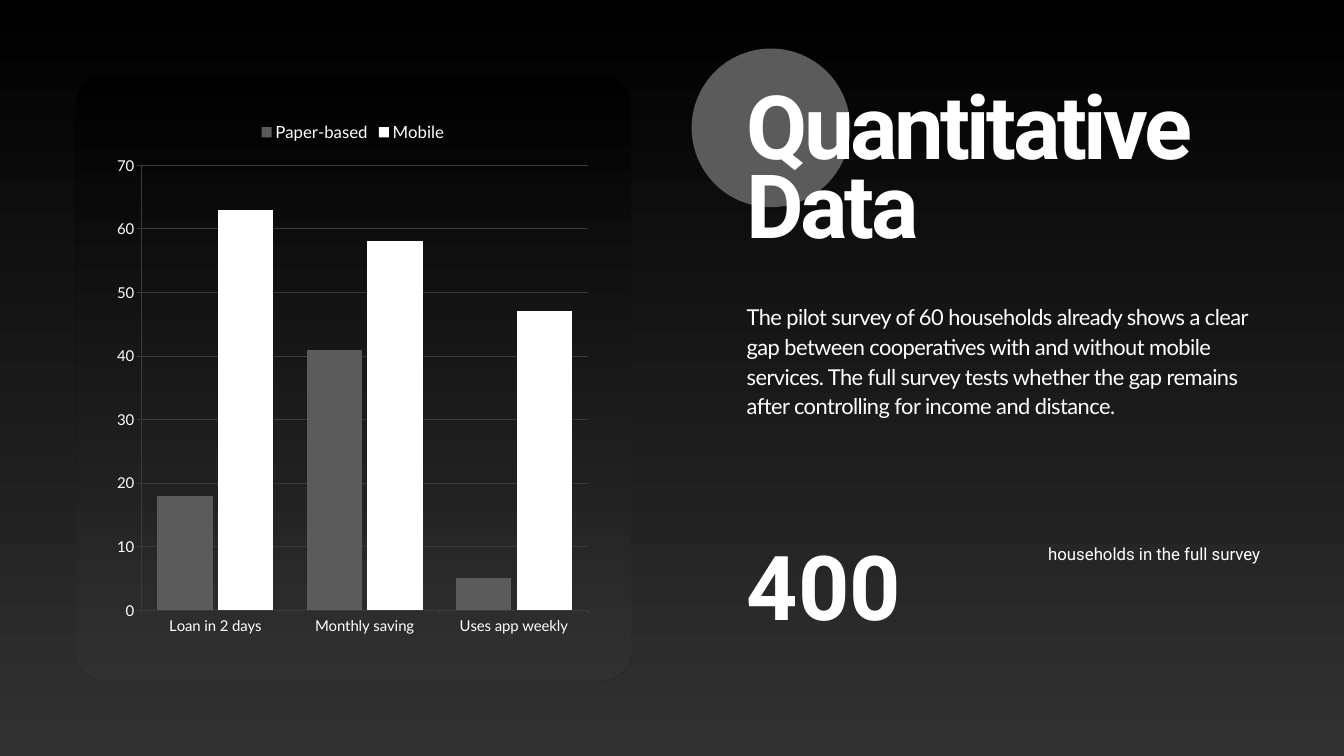
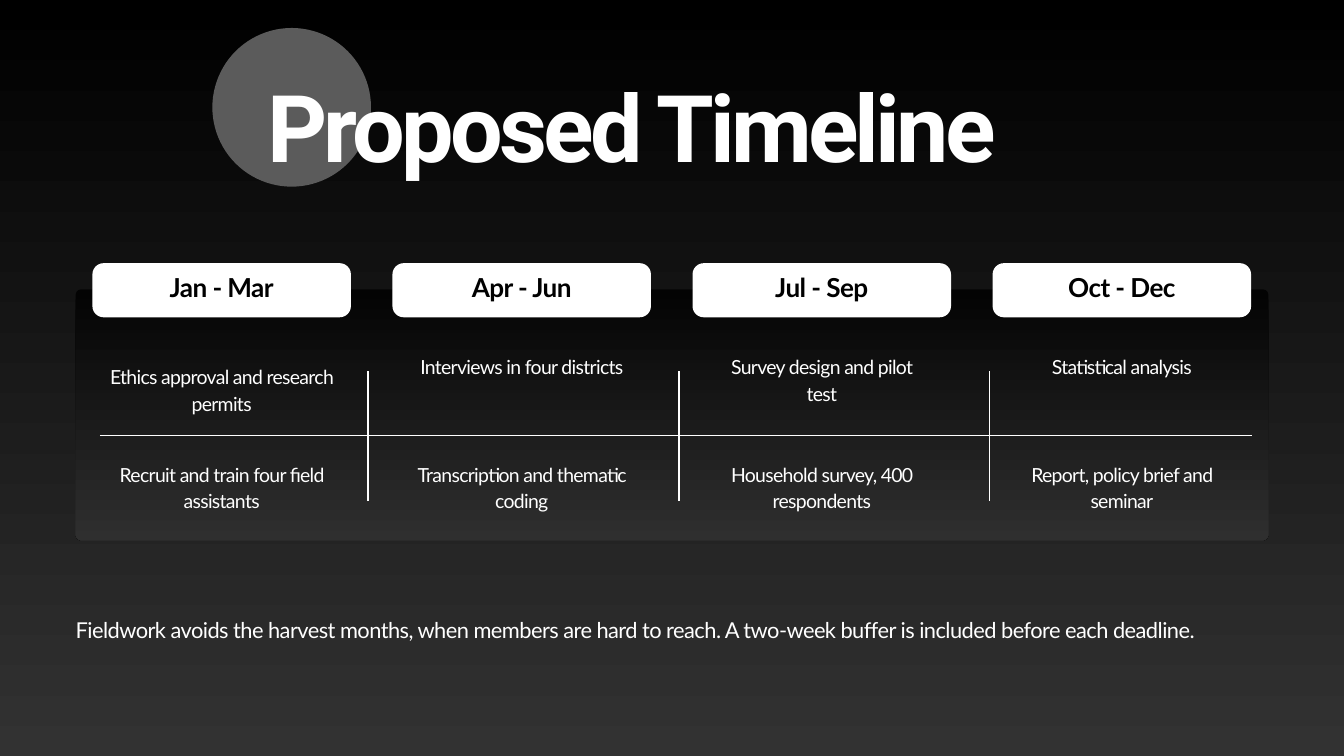
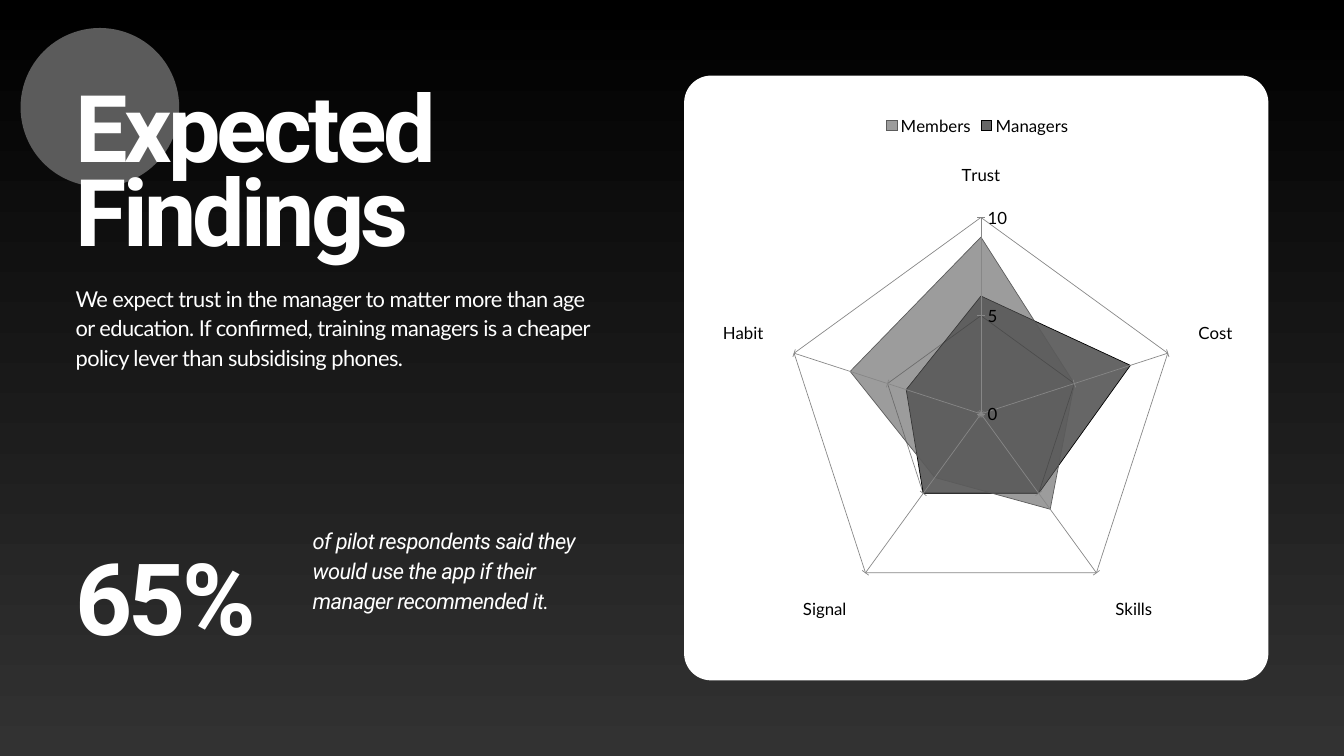
from lxml.etree import SubElement
from pptx import Presentation
from pptx.chart.data import CategoryChartData
from pptx.dml.color import RGBColor
from pptx.enum.chart import XL_CHART_TYPE as ChartType
from pptx.enum.chart import XL_LEGEND_POSITION as LegendPosition
from pptx.enum.shapes import MSO_CONNECTOR as Connector
from pptx.enum.shapes import MSO_SHAPE as Shape
from pptx.enum.text import MSO_ANCHOR as Anchor
from pptx.enum.text import MSO_AUTO_SIZE as AutoSize
from pptx.enum.text import PP_ALIGN as Align
from pptx.oxml.ns import qn
from pptx.util import Pt

COLORS = {"white": "FFFFFF", "black": "000000", "charcoal": "323232",
          "gray": "5B5B5B", "grid": "3A3A3A"}

STYLES = {
    "title": dict(size=100, font="Roboto", bold=True, spacing=-4, leading=90),
    "long title": dict(size=95, font="Roboto", bold=True, spacing=-3.8, leading=85.5),
    "body": dict(size=23.4, font="Lato", spacing=-0.6, leading=31.8),
    "quote": dict(size=23.4, font="Roboto", italic=True, spacing=-0.6, leading=31.8),
    "count": dict(size=96, font="Roboto", bold=True),
    "share": dict(size=106.9, font="Roboto", bold=True, spacing=-4.3, leading=96.2),
    "caption": dict(size=18, font="Roboto"),
    "quarter": dict(size=28, font="Lato", bold=True, spacing=-0.6, leading=27.2,
                    color="black", align=Align.CENTER),
    "task": dict(size=20.8, font="Lato", spacing=-0.7, leading=28.5, align=Align.CENTER),
}

QUANTITATIVE = {
    "title": "Quantitative Data",
    "body": "The pilot survey of 60 households already shows a clear gap between "
            "cooperatives with and without mobile services. The full survey tests "
            "whether the gap remains after controlling for income and distance.",
    "count": "400",
    "caption": "households in the full survey",
    "categories": ["Loan in 2 days", "Monthly saving", "Uses app weekly"],
    "series": [("Paper-based", [18, 41, 5], "gray"), ("Mobile", [63, 58, 47], "white")],
}

TIMELINE = {
    "title": "Proposed Timeline",
    "body": "Fieldwork avoids the harvest months, when members are hard to reach. "
            "A two-week buffer is included before each deadline.",
    "quarters": [
        ("Jan - Mar", 252, [("Ethics approval and research permits", 388),
                            ("Recruit and train four field assistants", 492.5)]),
        ("Apr - Jun", 248, [("Interviews in four districts", 377),
                            ("Transcription and thematic coding", 492.5)]),
        ("Jul - Sep", 217, [("Survey design and pilot test", 377),
                            ("Household survey, 400 respondents", 492.5)]),
        ("Oct - Dec", 243, [("Statistical analysis", 377),
                            ("Report, policy brief and seminar", 492.5)]),
    ],
}

FINDINGS = {
    "title": "Expected Findings",
    "body": "We expect trust in the manager to matter more than age or education. "
            "If confirmed, training managers is a cheaper policy lever than "
            "subsidising phones.",
    "share": "65%",
    "quote": "of pilot respondents said they would use the app if their manager "
             "recommended it.",
    "categories": ["Trust", "Cost", "Skills", "Signal", "Habit"],
    "series": [("Members", [9, 5, 6, 4, 7], "gray"), ("Managers", [6, 8, 5, 5, 4], "black")],
}

MARGIN = 81
CIRCLE = 170
PILL_LEFT, PILL_TOP, PILL_WIDTH, PILL_HEIGHT, PILL_STEP = 99, 282, 277, 58, 321.5
DIVIDER_LEFT, DIVIDER_STEP, DIVIDER_TOP, DIVIDER_BOTTOM = 394.5, 333, 398, 537


def rgb(name):
    return RGBColor.from_string(COLORS[name])


def box(*lengths):
    return [Pt(length) for length in lengths]


def paint(fill, color):
    fill.solid()
    fill.fore_color.rgb = rgb(color)


def shade(fill):
    fill.gradient()
    fill.gradient_angle = 270
    for stop, color in zip(fill.gradient_stops, ("black", "charcoal")):
        stop.color.rgb = rgb(color)


def fade(element, percent):
    for color in element.iter(qn("a:srgbClr")):
        SubElement(color, qn("a:alpha")).set("val", str(percent * 1000))


def write(frame, text, size, font, bold=False, italic=False, spacing=0,
          leading=None, color="white", align=Align.LEFT, anchor=Anchor.TOP):
    frame.margin_left = frame.margin_top = frame.margin_right = frame.margin_bottom = 0
    frame.word_wrap = True
    frame.auto_size = AutoSize.NONE
    frame.vertical_anchor = anchor
    paragraph = frame.paragraphs[0]
    paragraph.alignment = align
    paragraph.space_before = Pt(0)
    if leading:
        paragraph.line_spacing = Pt(leading)
    run = paragraph.add_run()
    run.text = text
    run.font.size = Pt(size)
    run.font.name = font
    run.font.bold = bold
    run.font.italic = italic
    run.font.color.rgb = rgb(color)
    if spacing:
        run._r.get_or_add_rPr().set("spc", str(round(spacing * 100)))


def add_text(slide, text, style, place):
    write(slide.shapes.add_textbox(*box(*place)).text_frame, text, **STYLES[style])


def fill_placeholder(holder, text, style, place):
    holder.left, holder.top, holder.width, holder.height = box(*place)
    write(holder.text_frame, text, **STYLES[style])


def add_block(slide, preset, place, color=None, radius=None):
    block = slide.shapes.add_shape(preset, *box(*place))
    block.shadow.inherit = False
    block.line.fill.background()
    if radius:
        block.adjustments[0] = radius / min(place[2:])
    if color:
        paint(block.fill, color)
    else:
        shade(block.fill)
        fade(block._element, 80)
    return block


def add_panel(slide, place, radius, color=None):
    return add_block(slide, Shape.ROUNDED_RECTANGLE, place, color, radius)


def add_rule(slide, *ends):
    rule = slide.shapes.add_connector(Connector.STRAIGHT, *box(*ends))
    rule.line.color.rgb = rgb("white")
    rule.line.width = Pt(1.5)
    SubElement(rule._element.spPr, qn("a:effectLst"))


def start_slide(prs, content, circle, title_place, body_place, title_style="title"):
    slide = prs.slides.add_slide(prs.slide_layouts[1])
    disc = add_block(slide, Shape.OVAL, (*circle, CIRCLE, CIRCLE), "gray")
    slide.shapes._spTree.insert(2, disc._element)
    fill_placeholder(slide.shapes.title, content["title"], title_style, title_place)
    body = slide.placeholders[1]
    properties = body.text_frame.paragraphs[0]._p.get_or_add_pPr()
    properties.set("marL", "0")
    properties.set("indent", "0")
    SubElement(properties, qn("a:buNone"))
    fill_placeholder(body, content["body"], "body", body_place)
    return slide


def add_survey_chart(slide, kind, content, place, color):
    data = CategoryChartData()
    data.categories = content["categories"]
    for name, values, _ in content["series"]:
        data.add_series(name, values)
    chart = slide.shapes.add_chart(kind, *box(*place), data).chart
    chart.has_title = False
    chart.has_legend = True
    chart.legend.position = LegendPosition.TOP
    chart.legend.include_in_layout = False
    for font in (chart.font, chart.legend.font):
        font.size = Pt(18)
        font.name = "Lato"
        font.color.rgb = rgb(color)
    chart.plots[0].vary_by_categories = False
    for series, (_, _, series_color) in zip(chart.plots[0].series, content["series"]):
        paint(series.format.fill, series_color)
    return chart


def build_quantitative(prs):
    slide = start_slide(prs, QUANTITATIVE, (741, 52), (800, 104, 560, 171),
                        (800, 322, 560, 167), "long title")
    add_panel(slide, (MARGIN, MARGIN, 595, 648), 31)
    chart = add_survey_chart(slide, ChartType.COLUMN_CLUSTERED, QUANTITATIVE,
                             (115, 122, 526, 569), "white")
    chart.plots[0].gap_width = 60
    chart.plots[0].overlap = -10
    chart.value_axis.minimum_scale = 0
    chart.value_axis.maximum_scale = 70
    chart.value_axis.has_major_gridlines = True
    for axis in (chart.category_axis, chart.value_axis):
        axis.tick_labels.font.size = Pt(16)
        axis.tick_labels.font.name = "Lato"
        axis.tick_labels.font.color.rgb = rgb("white")
    for part in (chart.category_axis, chart.value_axis, chart.value_axis.major_gridlines):
        part.format.line.color.rgb = rgb("grid")
        part.format.line.width = Pt(0.75)
    add_text(slide, QUANTITATIVE["count"], "count", (800, 569, 317, 115))
    add_text(slide, QUANTITATIVE["caption"], "caption", (1123, 583, 238, 115))


def build_timeline(prs):
    slide = start_slide(prs, TIMELINE, (227.5, 30), (286.5, 104, 925, 90),
                        (MARGIN, 657, 1278, 71))
    add_panel(slide, (MARGIN, 310, 1278, 269), 6)
    for i, (quarter, width, tasks) in enumerate(TIMELINE["quarters"]):
        left = PILL_LEFT + i * PILL_STEP
        pill = add_panel(slide, (left, PILL_TOP, PILL_WIDTH, PILL_HEIGHT), 12, "white")
        write(pill.text_frame, quarter, anchor=Anchor.MIDDLE, **STYLES["quarter"])
        for task, top in tasks:
            add_text(slide, task, "task", (left + (PILL_WIDTH - width) / 2, top, width, 60))
    add_rule(slide, 107, 466.5, 1341, 466.5)
    for i in range(len(TIMELINE["quarters"]) - 1):
        x = DIVIDER_LEFT + i * DIVIDER_STEP
        add_rule(slide, x, DIVIDER_BOTTOM, x, DIVIDER_TOP)


def build_findings(prs):
    slide = start_slide(prs, FINDINGS, (22, 30), (MARGIN, 104, 598, 180),
                        (MARGIN, 302, 560, 167))
    add_text(slide, FINDINGS["share"], "share", (MARGIN, 606, 259, 104))
    add_text(slide, FINDINGS["quote"], "quote", (335, 562, 305, 167))
    add_panel(slide, (733, MARGIN, 626, 648), 29, "white")
    chart = add_survey_chart(slide, ChartType.RADAR_FILLED, FINDINGS,
                             (763, 115, 569, 576), "black")
    chart.value_axis.minimum_scale = 0
    chart.value_axis.maximum_scale = 10
    chart.value_axis.major_unit = 5
    for series, (_, _, color) in zip(chart.plots[0].series, FINDINGS["series"]):
        fade(series._element, 60)
        series.format.line.color.rgb = rgb(color)
        series.format.line.width = Pt(0.75)


def main():
    prs = Presentation()
    prs.slide_width, prs.slide_height = box(1440, 810)
    shade(prs.slide_master.background.fill)
    build_quantitative(prs)
    build_timeline(prs)
    build_findings(prs)
    prs.save("out.pptx")


if __name__ == "__main__":
    main()
